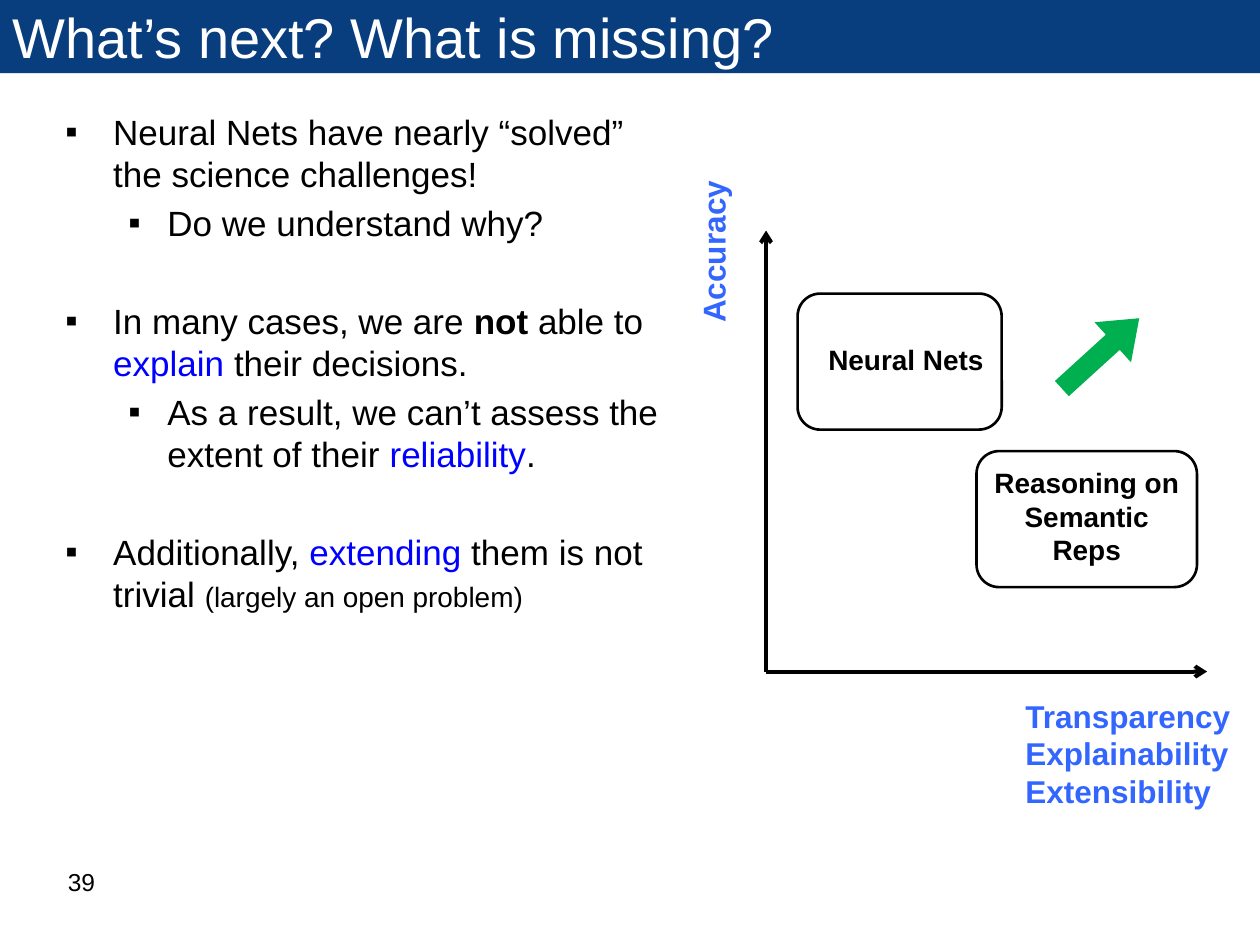
from lxml import etree
from pptx import Presentation
from pptx.dml.color import RGBColor
from pptx.enum.shapes import MSO_CONNECTOR, MSO_SHAPE
from pptx.enum.text import MSO_ANCHOR as Anchor, MSO_AUTO_SIZE as AutoSize, PP_ALIGN as Align
from pptx.oxml.ns import qn
from pptx.util import Inches, Pt

NAVY, WHITE, BLACK = "083D7E", "FFFFFF", "000000"
BLUE, AXIS_BLUE, GREEN = "0000FF", "3366FF", "00B050"
FONT = "Arial"

TITLE = "What’s next? What is missing?"
PAGE_NUMBER = "39"
KEY = {"color": BLUE}
# (level, runs); a run is (text, formatting)
BULLETS = [
    (0, [("Neural Nets have nearly “solved” the science challenges!", {})]),
    (1, [("Do we understand why?", {})]),
    (0, [("In many cases, we are ", {}), ("not", {"bold": True}), (" able to ", {}),
         ("explain", KEY), (" their decisions.", {})]),
    (1, [("As a result, we can’t assess the extent of their ", {}),
         ("reliability", KEY), (".", {})]),
    (0, [("Additionally, ", {}), ("extending", KEY), (" them is not trivial ", {}),
         ("(largely an open problem)", {"size": 16})]),
]
INDENTS = [(0.38, -0.38), (0.81, -0.31)]  # left margin and first line, by level
POINT_GAP, SUBPOINT_GAP = 32, 4

ORIGIN, AXIS_LENGTH = (6.08, 5.33), 3.5
# text, place, text insets (left, top, right, bottom)
METHODS = [
    ("Neural Nets", (6.33, 2.33, 1.62, 1.08), (0.15, 0.05, 0.05, 0.09)),
    ("Reasoning on Semantic Reps", (7.75, 3.58, 1.75, 1.08), (0.05, 0.05, 0.05, 0.1)),
]
# lines, place, rotation
AXIS_LABELS = [
    (["Transparency", "Explainability", "Extensibility"], (8.04, 5.48, 1.84, 1.01), 0),
    (["Accuracy"], (4.99, 1.79, 1.34, 0.4), 270),
]


def rgb(color):
    return RGBColor.from_string(color)


def inches(values):
    return [Inches(value) for value in values]


def add_span(para, text, size=20, color=BLACK, bold=False):
    span = para.add_run()
    span.text = text
    font = span.font
    font.name, font.size, font.bold = FONT, Pt(size), bold
    font.color.rgb = rgb(color)


def add_text_box(page, place, wrap=True):
    box = page.shapes.add_textbox(*inches(place))
    box.text_frame.word_wrap = wrap
    return box


def add_bullet(para, level):
    para.level = level
    left, first = INDENTS[level]
    props = para._p.get_or_add_pPr()
    props.set("marL", str(Inches(left)))
    props.set("indent", str(Inches(first)))
    etree.SubElement(props, qn("a:buFont"), typeface=FONT)
    etree.SubElement(props, qn("a:buChar"), char="▪")


def add_title(page, slide_width):
    title = page.shapes.title
    title.left, title.top, title.width, title.height = 0, 0, slide_width, Inches(0.58)
    title.fill.solid()
    title.fill.fore_color.rgb = rgb(NAVY)
    frame = title.text_frame
    frame.auto_size, frame.vertical_anchor = AutoSize.NONE, Anchor.MIDDLE
    frame.paragraphs[0].alignment = Align.LEFT
    add_span(frame.paragraphs[0], TITLE, 32, WHITE)


def add_bullets(page):
    frame = add_text_box(page, (0.42, 0.83, 5.08, 5.87)).text_frame
    for index, (level, spans) in enumerate(BULLETS):
        para = frame.add_paragraph() if index else frame.paragraphs[0]
        if index:
            para.space_before = Pt(SUBPOINT_GAP if level else POINT_GAP)
        add_bullet(para, level)
        for text, style in spans:
            add_span(para, text, **style)


def add_axis(page, across, up):
    x, y = ORIGIN
    axis = page.shapes.add_connector(
        MSO_CONNECTOR.STRAIGHT, *inches((x, y, x + across, y - up)))
    axis.line.width = Pt(2.25)
    axis.line.color.rgb = rgb(BLACK)
    etree.SubElement(axis.line._get_or_add_ln(), qn("a:tailEnd"), type="arrow")
    etree.SubElement(axis._element.spPr, qn("a:effectLst"))


def add_axis_label(page, lines, place, rotation):
    box = add_text_box(page, place, wrap=False)
    box.rotation = rotation
    frame = box.text_frame
    for index, line in enumerate(lines):
        para = frame.add_paragraph() if index else frame.paragraphs[0]
        add_span(para, line, 18, AXIS_BLUE, bold=True)


def add_method(page, text, place, insets):
    box = page.shapes.add_shape(MSO_SHAPE.ROUNDED_RECTANGLE, *inches(place))
    box.shadow.inherit = False
    box.fill.background()
    box.line.color.rgb = rgb(BLACK)
    box.line.width = Pt(1.5)
    frame = box.text_frame
    frame.word_wrap, frame.vertical_anchor = True, Anchor.MIDDLE
    (frame.margin_left, frame.margin_top,
     frame.margin_right, frame.margin_bottom) = inches(insets)
    frame.paragraphs[0].alignment = Align.CENTER
    add_span(frame.paragraphs[0], text, 16, bold=True)


def add_goal_arrow(page):
    arrow = page.shapes.add_shape(MSO_SHAPE.RIGHT_ARROW, *inches((8.32, 2.59, 0.83, 0.43)))
    arrow.shadow.inherit = False
    arrow.rotation = 317.7
    arrow.adjustments[0], arrow.adjustments[1] = 0.38, 0.66
    arrow.fill.solid()
    arrow.fill.fore_color.rgb = rgb(GREEN)
    arrow.line.fill.background()


def main():
    deck = Presentation()
    deck.slide_width, deck.slide_height = Inches(10), Inches(7.5)
    page = deck.slides.add_slide(deck.slide_layouts[5])
    add_title(page, deck.slide_width)
    add_bullets(page)
    number = add_text_box(page, (0.44, 6.83, 2.33, 0.52))
    add_span(number.text_frame.paragraphs[0], PAGE_NUMBER, 14)
    add_axis(page, AXIS_LENGTH, 0)
    add_axis(page, 0, AXIS_LENGTH)
    for label in AXIS_LABELS:
        add_axis_label(page, *label)
    for method in METHODS:
        add_method(page, *method)
    add_goal_arrow(page)
    deck.save("out.pptx")


if __name__ == "__main__":
    main()
